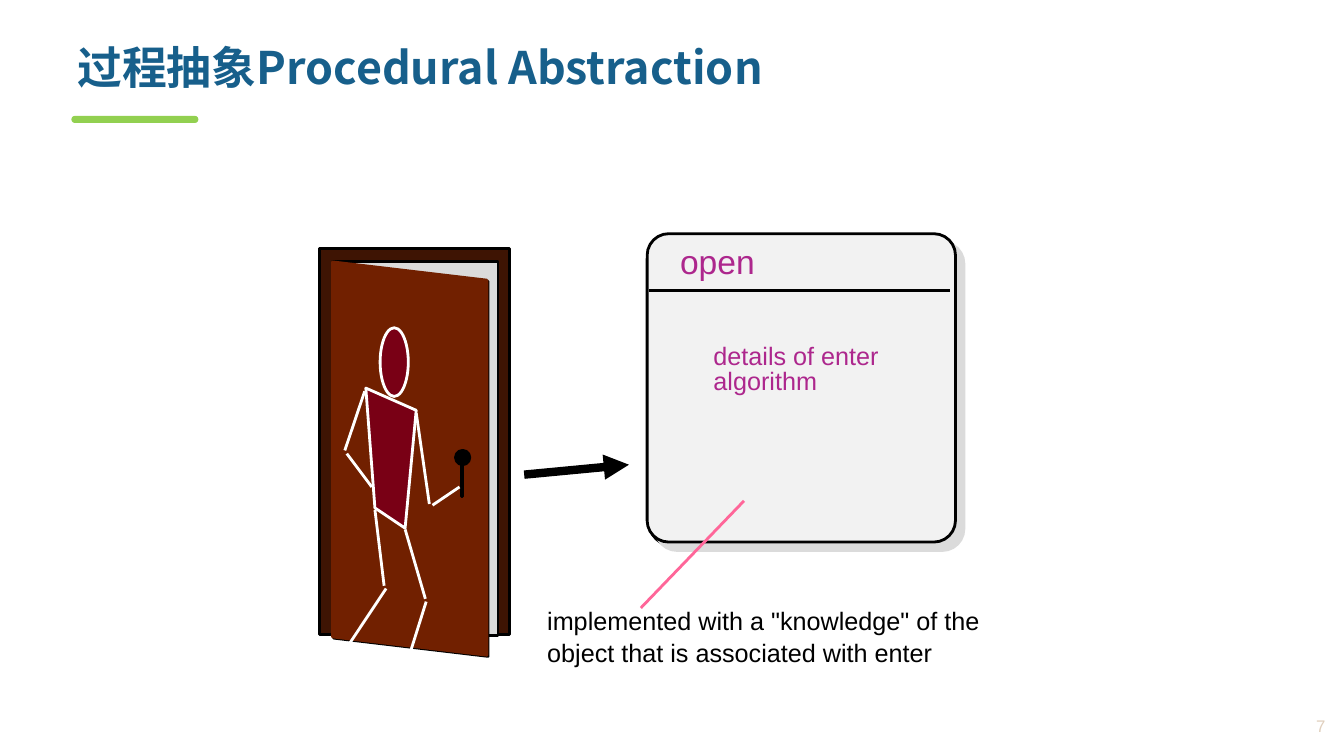
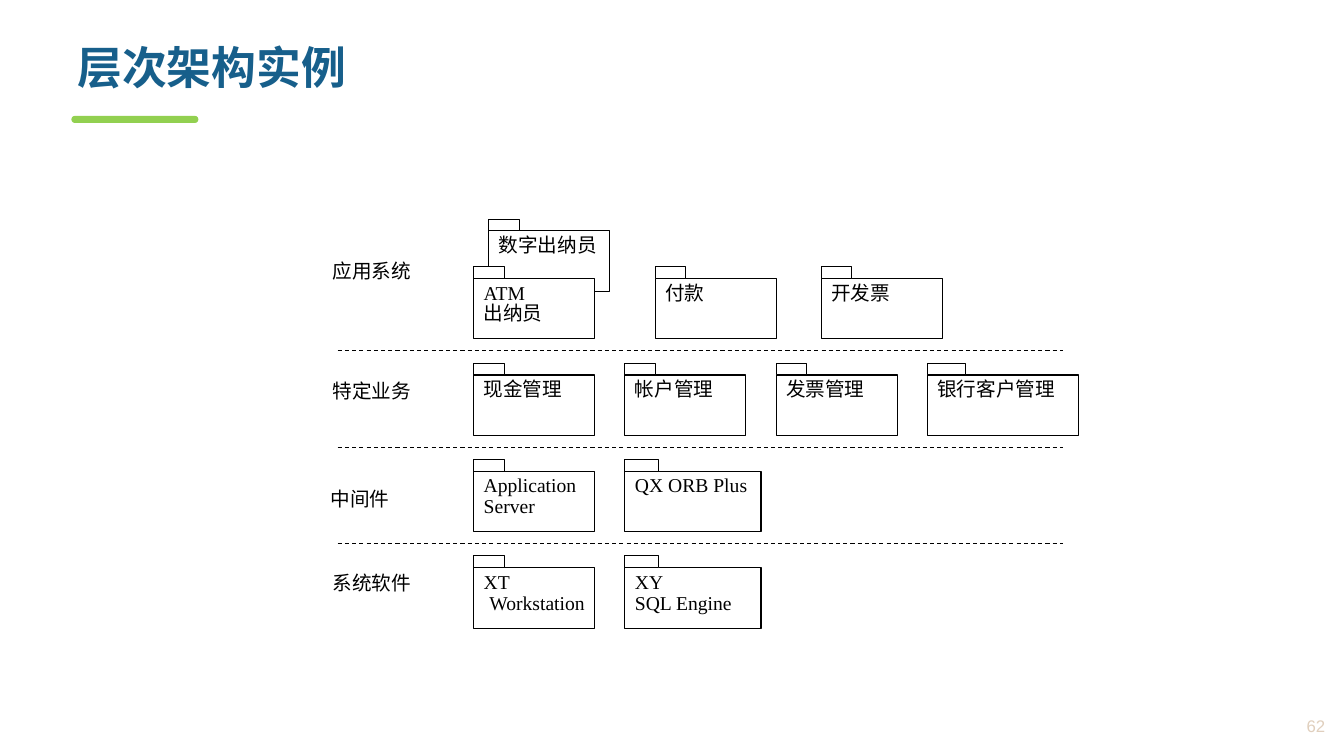
import lxml.etree
import pptx
import pptx.dml.color
import pptx.enum.dml
import pptx.enum.shapes
import pptx.enum.text
import pptx.oxml.ns
import pptx.util

Cm, Pt = pptx.util.Cm, pptx.util.Pt
KIND = pptx.enum.shapes.MSO_SHAPE
ALIGN = pptx.enum.text.PP_ALIGN
ANCHOR = pptx.enum.text.MSO_ANCHOR
qn = pptx.oxml.ns.qn

HUE = {
    "title": "175F8B", "bar": "92D050", "page": "E0CFBD",
    "black": "000000", "white": "FFFFFF", "gray": "DBDBDB",
    "card": "F2F2F2", "plum": "AD278D", "pink": "FF6699",
    "frame": "3E1403", "door": "712000", "body": "790015",
}
CJK = "Noto Sans CJK SC"
STYLE = {
    "title": {"name": CJK, "size": Pt(32), "bold": True, "hue": "title"},
    "page": {"name": "Arial", "size": Pt(12), "hue": "page"},
    "head": {"name": "Arial", "size": Pt(24), "hue": "plum"},
    "code": {"name": "Arial", "size": Pt(18), "hue": "plum"},
    "note": {"name": "Arial", "size": Pt(18), "hue": "black"},
    "unit": {"name": "Times New Roman", "size": Pt(14), "hue": "black"},
}

DOOR = [(8.38, 6.6), (12.27, 7.06), (12.27, 16.51), (8.38, 16.05)]
TORSO = [(9.22, 9.78), (10.49, 10.34), (10.21, 13.31), (9.45, 12.8)]
LIMBS = [
    ((10.49, 10.41), (10.82, 12.7)), ((10.9, 12.73), (11.58, 12.27)),
    ((9.19, 9.86), (8.69, 11.35)), ((8.74, 11.43), (9.37, 12.27)),
    ((10.21, 13.34), (10.72, 15.09)), ((10.74, 15.16), (10.11, 17.17)),
    ((9.45, 12.85), (9.68, 14.76)), ((9.73, 14.83), (8.56, 16.59)),
]
NOTES = [
    ((16.89, 5.94, 2.6, 1.27), ["open"], "head", 1.0),
    ((17.73, 8.58, 5.2, 1.6), ["details of enter", "algorithm"], "code", Pt(18)),
    ((13.54, 15.08, 12.2, 1.9),
     ['implemented with a "knowledge" of the',
      "object that is associated with enter"], "note", Pt(23)),
]

TOP, STEP, RULE = 7.02, 2.43, 1.82
TALL, TAB = 1.52, 0.3
COLS = [11.94 + 3.81 * i for i in range(4)]
SLIM, WIDE, BROAD = 3.05, 3.43, 3.81
LAYERS = [
    ("应用系统", 8.13, -0.59, [
        (12.32, -1.2, SLIM, ["数字出纳员"]),
        (COLS[0], 0, SLIM, ["ATM", "出纳员"]),
        (16.51, 0, SLIM, ["付款"]),
        (20.7, 0, SLIM, ["开发票"])]),
    ("特定业务", 8.13, 0, [
        (COLS[0], 0, SLIM, ["现金管理"]),
        (COLS[1], 0, SLIM, ["帐户管理"]),
        (COLS[2], 0, SLIM, ["发票管理"]),
        (COLS[3], 0, BROAD, ["银行客户管理"])]),
    ("中间件", 8.08, 0.31, [
        (COLS[0], 0, SLIM, ["Application Server"]),
        (COLS[1], 0, WIDE, ["QX ORB Plus"])]),
    ("系统软件", 8.13, 0, [
        (COLS[0], 0, SLIM, ["XT", ("Workstation", ALIGN.RIGHT)]),
        (COLS[1], 0, WIDE, ["XY", "SQL Engine"])]),
]


def rgb(hue):
    return pptx.dml.color.RGBColor.from_string(HUE[hue])


def paint(shape, fill=None, line=None, width=2):
    shape.shadow.inherit = False
    if fill:
        shape.fill.solid()
        shape.fill.fore_color.rgb = rgb(fill)
    else:
        shape.fill.background()
    if line:
        shape.line.color.rgb = rgb(line)
        shape.line.width = Pt(width)
    else:
        shape.line.fill.background()
    return shape


def box(shapes, kind, at, fill=None, line=None, width=2, adj=()):
    shape = shapes.add_shape(kind, *map(Cm, at))
    for i, value in enumerate(adj):
        shape.adjustments[i] = value
    return paint(shape, fill, line, width)


def outline(shapes, spots, fill=None, line=None):
    first, *rest = [(Cm(x), Cm(y)) for x, y in spots]
    path = shapes.build_freeform(*first, scale=1.0)
    path.add_line_segments(rest, close=True)
    return paint(path.convert_to_shape(), fill, line)


def stroke(shapes, start, end, hue, width=2, dash=None, head=False):
    line = shapes.add_connector(
        pptx.enum.shapes.MSO_CONNECTOR.STRAIGHT, *map(Cm, start + end))
    line.line.color.rgb = rgb(hue)
    line.line.width = Pt(width)
    if dash:
        line.line.dash_style = dash
    props = line._element.spPr
    if head:
        lxml.etree.SubElement(props.find(qn("a:ln")), qn("a:tailEnd"), type="triangle")
    lxml.etree.SubElement(props, qn("a:effectLst"))


def write(shape, lines, style, space=1.0, align=ALIGN.LEFT, anchor=ANCHOR.TOP):
    frame = shape.text_frame
    frame.word_wrap = True
    frame.vertical_anchor = anchor
    for i, item in enumerate(lines):
        words, side = item if isinstance(item, tuple) else (item, align)
        para = frame.add_paragraph() if i else frame.paragraphs[0]
        para.alignment = side
        para.line_spacing = space
        run = para.add_run()
        run.text = words
        for key, value in STYLE[style].items():
            if key == "hue":
                run.font.color.rgb = rgb(value)
            else:
                setattr(run.font, key, value)
        lxml.etree.SubElement(run.font._element, qn("a:ea"), typeface=CJK)


def label(shapes, at, lines, style, **more):
    write(shapes.add_textbox(*map(Cm, at)), lines, style, **more)


def start(deck, title, page):
    shapes = deck.slides.add_slide(deck.slide_layouts[6]).shapes
    box(shapes, KIND.ROUND_2_SAME_RECTANGLE, (1.8, 2.92, 3.2, 0.18), "bar", adj=(0.5, 0.5))
    label(shapes, (1.7, 1.04, 31.17, 1.9), [title], "title", space=0.9)
    label(shapes, (30.78, 17.81, 2.87, 0.97), [page], "page",
          align=ALIGN.RIGHT, anchor=ANCHOR.MIDDLE)
    return shapes


def draw_door(shapes):
    stroke(shapes, (13.21, 11.96), (15.85, 11.71), "black", 6, head=True)
    box(shapes, KIND.RECTANGLE, (8.05, 6.27, 4.8, 9.73), "frame", "black")
    box(shapes, KIND.RECTANGLE, (8.38, 6.6, 4.17, 9.42), "gray", "black")
    outline(shapes, [(x + 0.03, y + 0.03) for x, y in DOOR], line="black")
    outline(shapes, DOOR, "door", "door")
    box(shapes, KIND.OVAL, (11.48, 11.35, 0.36, 0.36), "black", "black")
    box(shapes, KIND.RECTANGLE, (11.63, 11.68, 0.03, 0.84), "black", "black")
    box(shapes, KIND.OVAL, (9.58, 8.26, 0.71, 1.73), "body", "white")
    outline(shapes, TORSO, "body", "white")
    for begin, end in LIMBS:
        stroke(shapes, begin, end, "white")


def draw_card(shapes):
    box(shapes, KIND.ROUNDED_RECTANGLE, (16.36, 6.05, 7.7, 7.7),
        "white", "black", 1, [0.07])
    card = box(shapes, KIND.ROUNDED_RECTANGLE, (16.31, 5.89, 7.77, 7.77),
               "card", "black", adj=[0.07])
    glow = lxml.etree.SubElement(
        card._element.spPr.find(qn("a:effectLst")), qn("a:outerShdw"),
        dist=str(Pt(8.5)), dir="2700000", algn="ctr", rotWithShape="0")
    lxml.etree.SubElement(glow, qn("a:srgbClr"), val=HUE["gray"])
    stroke(shapes, (16.36, 7.32), (23.95, 7.32), "black")
    stroke(shapes, (18.75, 12.62), (16.15, 15.32), "pink")
    for at, lines, style, space in NOTES:
        label(shapes, at, lines, style, space=space)


def draw_unit(shapes, x, y, wide, lines):
    group = shapes.add_group_shape().shapes
    body = box(group, KIND.RECTANGLE, (x, y, wide, TALL), "white", "black", 0.75)
    write(body, lines, "unit", space=0.88)
    box(group, KIND.RECTANGLE, (x, y - TAB, wide / 4, TAB), "white", "black", 0.75)


def draw_layers(shapes):
    for row, (name, left, shift, units) in enumerate(LAYERS):
        y = TOP + row * STEP
        label(shapes, (left, y + shift, SLIM, TALL), [name], "unit", space=0.96)
        for x, rise, wide, lines in units:
            draw_unit(shapes, x, y + rise, wide, lines)
        if row < len(LAYERS) - 1:
            stroke(shapes, (8.51, y + RULE), (26.8, y + RULE), "black", 0.75,
                   pptx.enum.dml.MSO_LINE.DASH)


def main():
    deck = pptx.Presentation()
    deck.slide_width, deck.slide_height = Cm(33.87), Cm(19.05)
    shapes = start(deck, "过程抽象Procedural Abstraction", "7")
    draw_door(shapes)
    draw_card(shapes)
    draw_layers(start(deck, "层次架构实例", "62"))
    deck.save("out.pptx")


if __name__ == "__main__":
    main()
